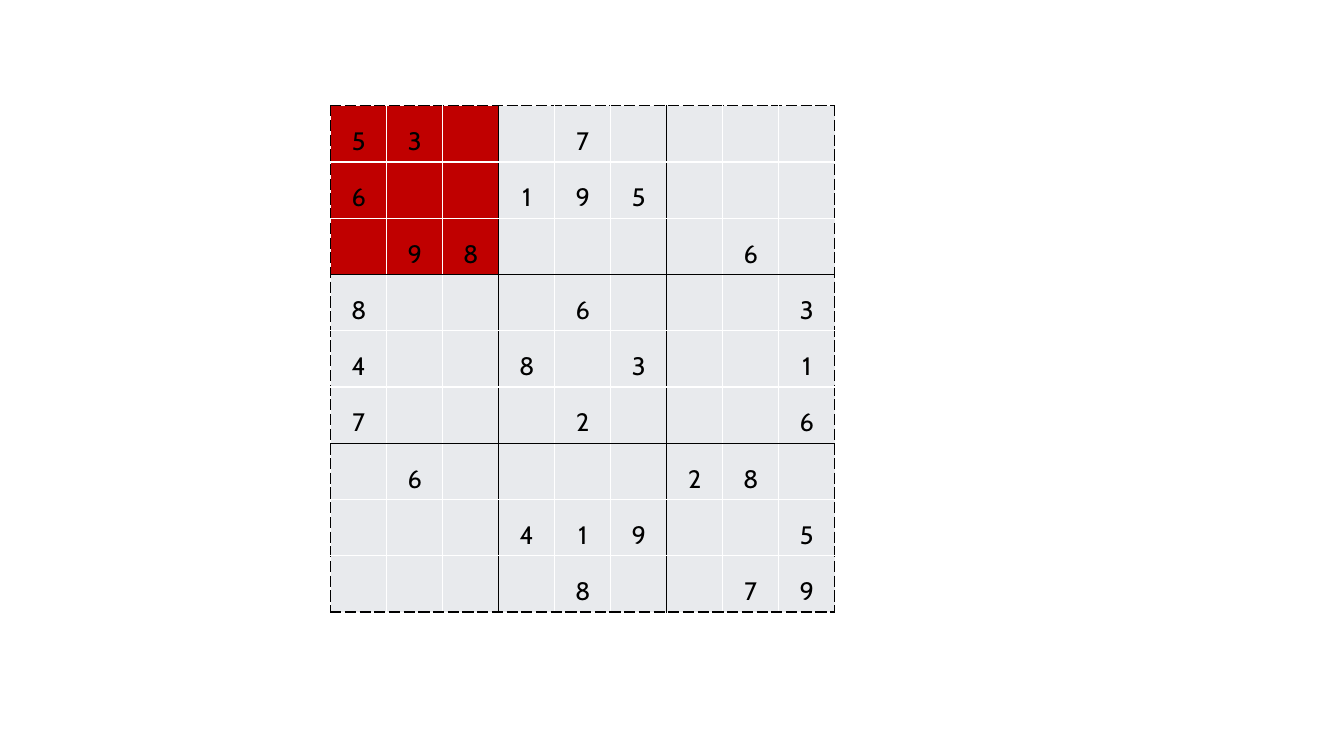
from lxml.etree import SubElement
from pptx import Presentation
from pptx.dml.color import RGBColor
from pptx.enum.text import MSO_ANCHOR, PP_ALIGN
from pptx.oxml.ns import qn
from pptx.util import Inches, Pt

HUES = {"ink": "000000", "rule": "FFFFFF", "cell": "E8EAED", "mark": "C00000"}
ROWS = [
    "53..7....",
    "6..195...",
    ".98....6.",
    "8...6...3",
    "4..8.3..1",
    "7...2...6",
    ".6....28.",
    "...419..5",
    "....8..79",
]
SIZE = len(ROWS)
BLOCK = 3


def write(cell, text, font="Cabin", size=18, hue="ink", align=PP_ALIGN.CENTER, space=1.5):
    """Put formatted text in a cell."""
    para = cell.text_frame.paragraphs[0]
    para.alignment = align
    para.line_spacing = space
    run = para.add_run()
    run.text = text
    run.font.name = font
    run.font.size = Pt(size)
    run.font.color.rgb = RGBColor.from_string(HUES[hue])


def edge(cell, side, index):
    """Draw one cell border by the number of the grid line it lies on."""
    hue = "rule" if index % BLOCK else "ink"
    dash = "solid" if 0 < index < SIZE else "sysDash"
    line = SubElement(cell._tc.get_or_add_tcPr(), qn(f"a:ln{side}"), w=str(Pt(1)))
    fill = SubElement(line, qn("a:solidFill"))
    SubElement(fill, qn("a:srgbClr"), val=HUES[hue])
    SubElement(line, qn("a:prstDash"), val=dash)


def board(slide, left, top, width, height):
    """Build the number grid in the given box."""
    box = [Inches(n) for n in (left, top, width, height)]
    table = slide.shapes.add_table(SIZE, SIZE, *box).table
    table.first_row = False
    table.horz_banding = False
    for row, line in enumerate(ROWS):
        table.rows[row].height = Inches(height / SIZE)
        table.columns[row].width = Inches(width / SIZE)
        for col, digit in enumerate(line):
            cell = table.cell(row, col)
            cell.vertical_anchor = MSO_ANCHOR.TOP
            for side, index in (("L", col), ("R", col + 1), ("T", row), ("B", row + 1)):
                edge(cell, side, index)
            hue = "mark" if max(row, col) < BLOCK else "cell"
            cell.fill.solid()
            cell.fill.fore_color.rgb = RGBColor.from_string(HUES[hue])
            if digit != ".":
                write(cell, digit)


def main():
    """Make the deck with its one slide."""
    deck = Presentation()
    deck.slide_width = Inches(13.33)
    deck.slide_height = Inches(7.5)
    slide = deck.slides.add_slide(deck.slide_layouts[6])
    board(slide, 3.28, 1.05, 5, 5)
    deck.save("out.pptx")


if __name__ == "__main__":
    main()
